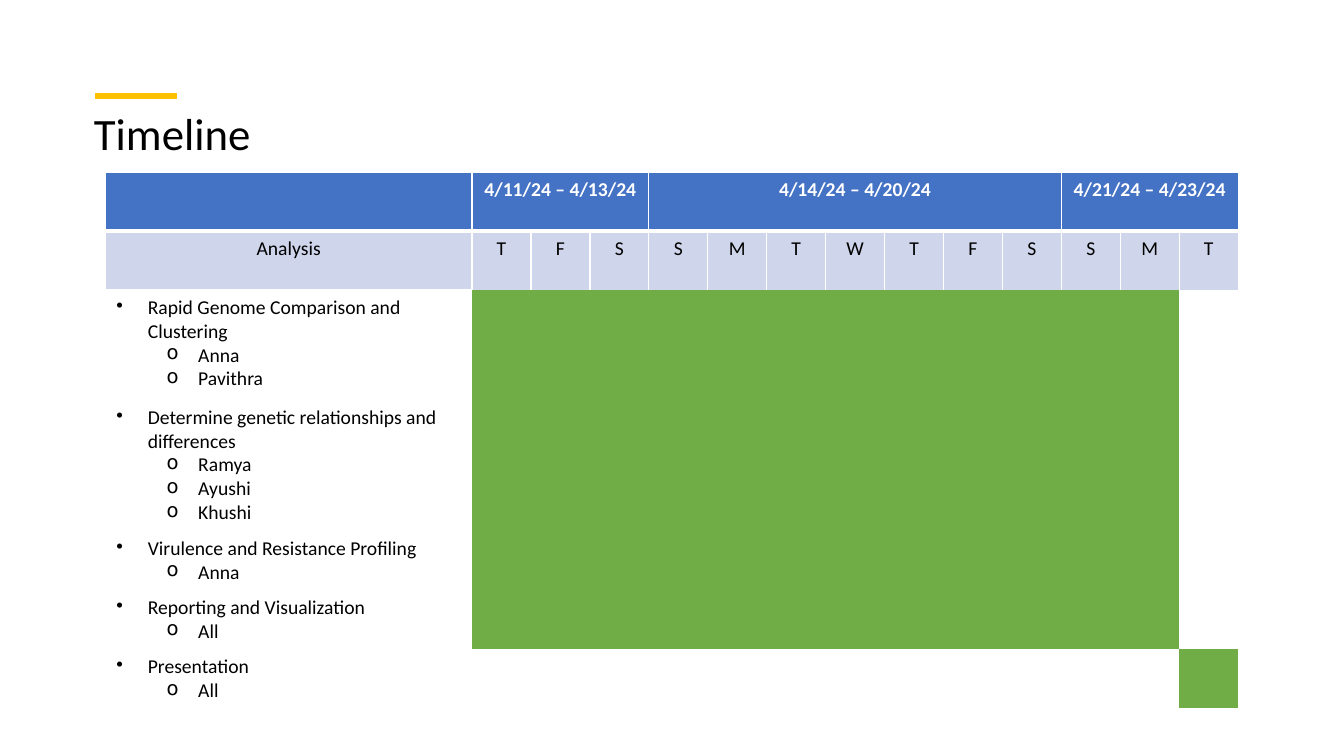
from lxml.etree import SubElement
from pptx import Presentation
from pptx.dml.color import RGBColor
from pptx.enum.shapes import MSO_CONNECTOR
from pptx.enum.text import MSO_ANCHOR, PP_ALIGN
from pptx.oxml.ns import qn
from pptx.util import Pt

WHITE, BLACK, BLUE, PALE, GREEN, GOLD = (
    "FFFFFF", "000000", "4472C4", "CFD5EA", "70AD47", "FFC000")
DAYS = "TFSSMTWTFSSMT"
WEEKS = [(1, 3, "4/11/24 – 4/13/24"), (4, 10, "4/14/24 – 4/20/24"),
         (11, 13, "4/21/24 – 4/23/24")]
TASKS = [
    ("Rapid Genome Comparison and Clustering", ["Anna", "Pavithra"], 78.5, range(1, 13)),
    ("Determine genetic relationships and differences",
     ["Ramya", "Ayushi", "Khushi"], 93.5, range(1, 13)),
    ("Virulence and Resistance Profiling", ["Anna"], 42, range(1, 13)),
    ("Reporting and Visualization", ["All"], 42, range(1, 13)),
    ("Presentation", ["All"], 42, [13]),
]
ROW_HEIGHTS = [42, 42] + [task[2] for task in TASKS]
CELL_FORMAT = {"margin_left": Pt(7.9), "margin_right": Pt(7.9),
               "margin_top": Pt(4.3), "margin_bottom": Pt(4.3)}


def color(value):
    return RGBColor.from_string(value)


def apply(target, values):
    for name, value in values.items():
        setattr(target, name, value)


def style_font(paragraph, size, shade, bold=False):
    apply(paragraph.font, {"name": "Calibri", "size": Pt(size), "bold": bold})
    paragraph.font.color.rgb = color(shade)


def add_title(slide, wording):
    title = slide.shapes.add_textbox(Pt(60), Pt(76.5), Pt(767), Pt(87))
    apply(title.text_frame, {"word_wrap": True, "vertical_anchor": MSO_ANCHOR.TOP})
    heading = title.text_frame.paragraphs[0]
    apply(heading, {"text": wording, "line_spacing": 0.9})
    style_font(heading, 32, BLACK)


def add_accent(slide):
    accent = slide.shapes.add_connector(
        MSO_CONNECTOR.STRAIGHT, Pt(68.2), Pt(68.5), Pt(126.2), Pt(68.5))
    accent.line.color.rgb = color(GOLD)
    accent.line.width = Pt(4.5)
    SubElement(accent._element.spPr, qn("a:effectLst"))


def format_cell(cell, fill=None, borders=None):
    apply(cell, CELL_FORMAT)
    properties = cell._tc.get_or_add_tcPr()
    for side in "LRTB":
        width = (borders or {}).get(side, 0)
        edge = SubElement(properties, qn(f"a:ln{side}"), w=str(Pt(width)))
        if width:
            paint = SubElement(edge, qn("a:solidFill"))
            SubElement(paint, qn("a:srgbClr"), val=WHITE)
        else:
            SubElement(edge, qn("a:noFill"))
    if fill:
        cell.fill.solid()
        cell.fill.fore_color.rgb = color(fill)
    else:
        cell.fill.background()


def write_label(cell, wording, shade, bold=False):
    label = cell.text_frame.paragraphs[0]
    apply(label, {"text": wording, "alignment": PP_ALIGN.CENTER})
    style_font(label, 14, shade, bold)


def write_bullet(paragraph, wording, level):
    apply(paragraph, {"text": wording, "level": level})
    properties = paragraph._p.get_or_add_pPr()
    properties.set("marL", str(Pt(22.5 + 36 * level)))
    properties.set("indent", str(Pt(-22.5)))
    SubElement(properties, qn("a:buChar"), char="•o"[level])
    style_font(paragraph, 14, BLACK)


def write_task(cell, task, people):
    write_bullet(cell.text_frame.paragraphs[0], task, 0)
    for person in people:
        write_bullet(cell.text_frame.add_paragraph(), person, 1)


def add_schedule(slide):
    schedule = slide.shapes.add_table(
        len(ROW_HEIGHTS), len(DAYS) + 1, Pt(75.2), Pt(123),
        Pt(262 + 42.1 * len(DAYS)), Pt(sum(ROW_HEIGHTS))).table
    apply(schedule, {"first_row": False, "horz_banding": False})
    for column, width in zip(schedule.columns, [262] + [42.1] * len(DAYS)):
        column.width = Pt(width)
    for row, height in zip(schedule.rows, ROW_HEIGHTS):
        row.height = Pt(height)

    for index, day in enumerate(["Analysis", *DAYS]):
        format_cell(schedule.cell(0, index), BLUE, {"L": 1, "R": 1, "T": 1, "B": 3})
        day_cell = schedule.cell(1, index)
        format_cell(day_cell, PALE, {"L": 1, "R": 1, "T": 3, "B": 0 if index else 1})
        write_label(day_cell, day, BLACK)
    for first, last, dates in WEEKS:
        week_cell = schedule.cell(0, first)
        week_cell.merge(schedule.cell(0, last))
        write_label(week_cell, dates, WHITE, True)

    for row, (task, people, _, busy) in enumerate(TASKS, 2):
        task_cell = schedule.cell(row, 0)
        format_cell(task_cell, None, {"L": 1, "T": 1, "B": 1})
        write_task(task_cell, task, people)
        for day in range(1, len(DAYS) + 1):
            format_cell(schedule.cell(row, day), GREEN if day in busy else None)


def main():
    deck = Presentation()
    apply(deck, {"slide_width": Pt(960), "slide_height": Pt(540)})
    slide = deck.slides.add_slide(deck.slide_layouts[6])
    add_title(slide, "Timeline")
    add_accent(slide)
    add_schedule(slide)
    deck.save("out.pptx")


if __name__ == "__main__":
    main()
